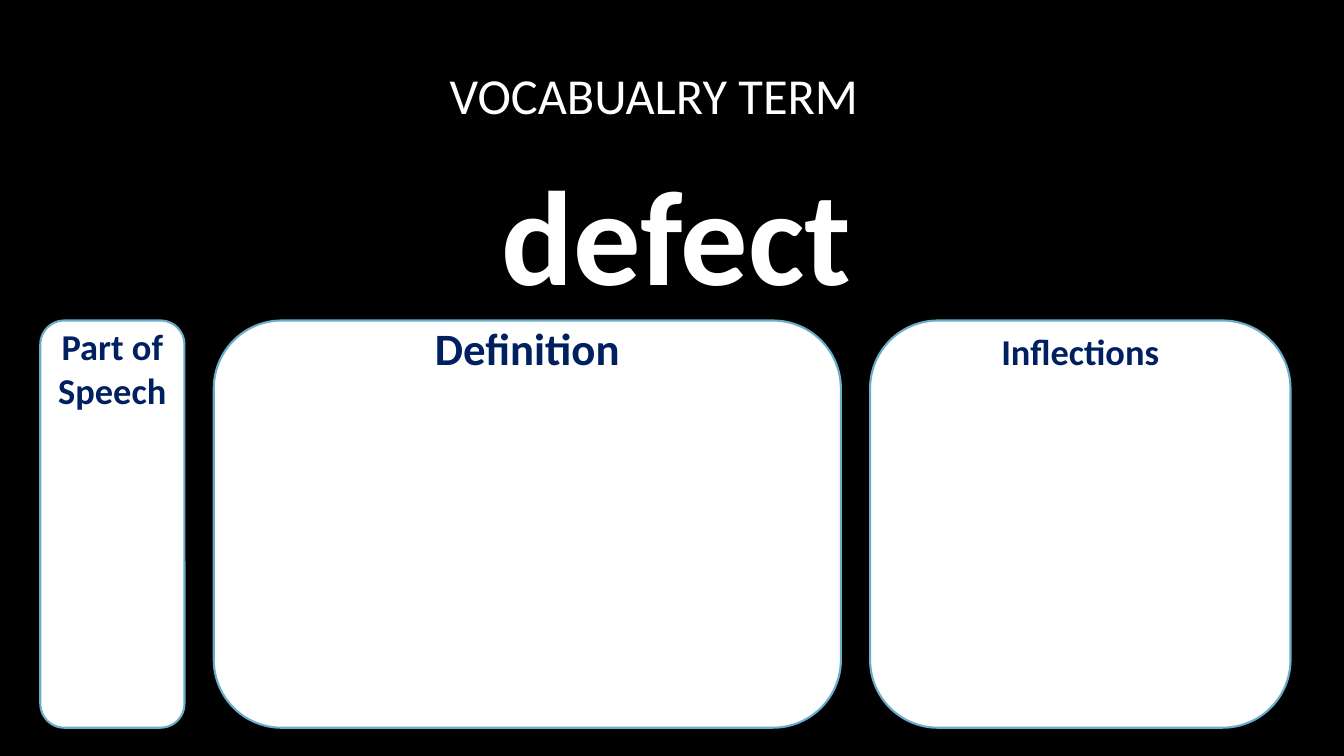
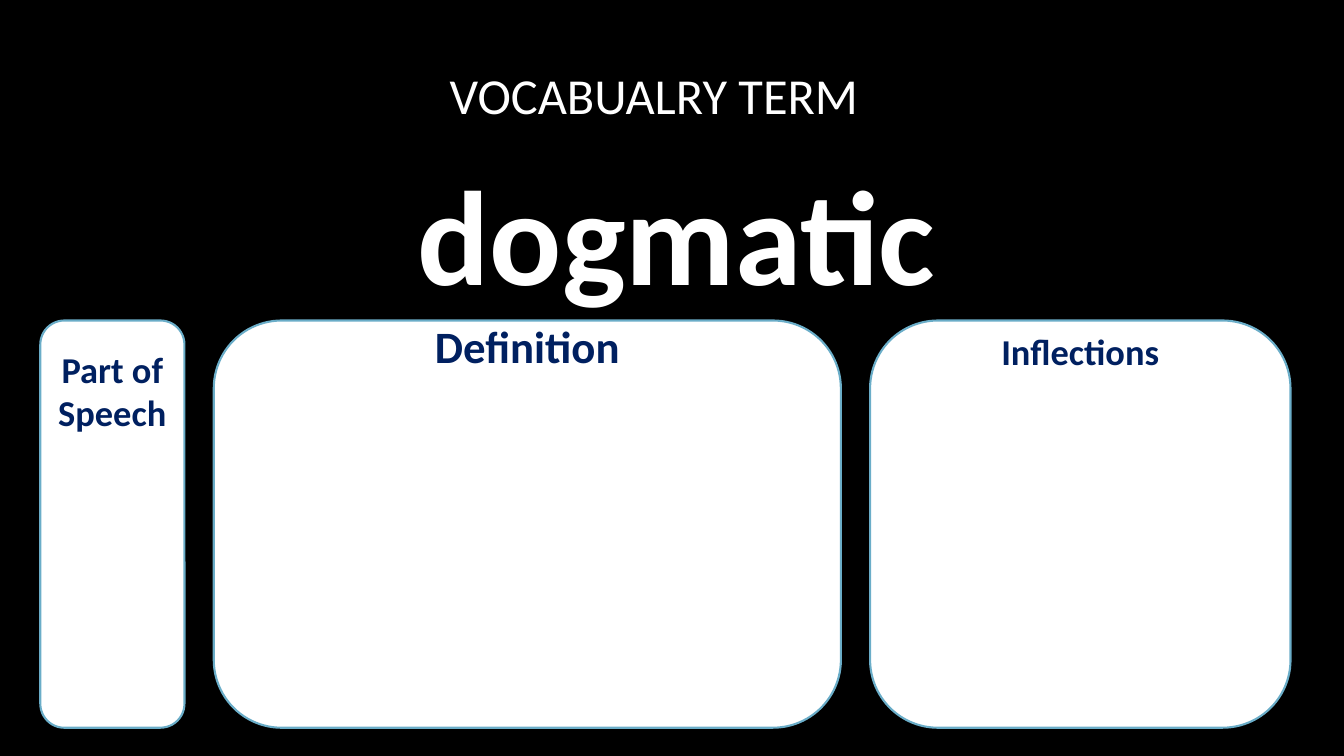
from dataclasses import dataclass

from pptx import Presentation
from pptx.dml.color import RGBColor
from pptx.enum import shapes, text
from pptx.util import Inches, Pt

FONT = "Calibri"
BLACK, WHITE, NAVY, SKY = "000000", "FFFFFF", "002060", "6AADC8"
CARD_TOP, CARD_HEIGHT = 3.18, 4.04
CARD_LEFT, CARD_GAP = 0.4, 0.29


@dataclass(frozen=True)
class Card:
    heading: str
    width: float
    size: int


@dataclass(frozen=True)
class Term:
    word: str
    heading_insets: tuple[float, float, float]


CARDS = (
    Card("Part of Speech", 1.43, 26),
    Card("Definition", 6.22, 32),
    Card("Inflections", 4.17, 26),
)
TERMS = (
    Term("defect", (-0.03, -0.19, -0.11)),
    Term("dogmatic", (0.19, -0.21, -0.11)),
)


def rgb(value: str) -> RGBColor:
    return RGBColor.from_string(value)


def write(shape, wording: str, size: int, color: str, bold: bool,
          anchor=text.MSO_ANCHOR.MIDDLE, inset_top: float = 0.05) -> None:
    """Fill the shape with one centred paragraph."""
    frame = shape.text_frame
    frame_format = {
        "word_wrap": True,
        "auto_size": text.MSO_AUTO_SIZE.NONE,
        "vertical_anchor": anchor,
        "margin_top": Inches(inset_top),
    }
    for name, value in frame_format.items():
        setattr(frame, name, value)
    paragraph = frame.paragraphs[0]
    paragraph.alignment = text.PP_ALIGN.CENTER
    run = paragraph.add_run()
    run.text = wording
    for name, value in {"name": FONT, "size": Pt(size), "bold": bold}.items():
        setattr(run.font, name, value)
    run.font.color.rgb = rgb(color)


def add_title(slide) -> None:
    title = slide.shapes.title
    place = {"left": 1.17, "top": 0.46, "width": 11.08, "height": 0.96}
    for name, value in place.items():
        setattr(title, name, Inches(value))
    write(title, "VOCABUALRY TERM\t", 36, WHITE, False)


def add_word(slide, word: str) -> None:
    box = slide.shapes.add_textbox(
        Inches(1.17), Inches(1.42), Inches(11.08), Inches(1.76))
    write(box, word, 96, WHITE, True)


def add_card(slide, card: Card, left: float, inset_top: float) -> None:
    panel = slide.shapes.add_shape(
        shapes.MSO_SHAPE.ROUNDED_RECTANGLE,
        Inches(left), Inches(CARD_TOP), Inches(card.width), Inches(CARD_HEIGHT))
    panel.shadow.inherit = False
    panel.fill.solid()
    panel.fill.fore_color.rgb = rgb(WHITE)
    panel.line.color.rgb = rgb(SKY)
    panel.line.width = Pt(1.5)
    write(panel, card.heading, card.size, NAVY, True,
          text.MSO_ANCHOR.TOP, inset_top)


def add_term_slide(deck, term: Term) -> None:
    slide = deck.slides.add_slide(deck.slide_layouts.get_by_name("Title Only"))
    slide.background.fill.solid()
    slide.background.fill.fore_color.rgb = rgb(BLACK)
    add_title(slide)
    add_word(slide, term.word)
    left = CARD_LEFT
    for card, inset_top in zip(CARDS, term.heading_insets):
        add_card(slide, card, left, inset_top)
        left += card.width + CARD_GAP


def main() -> None:
    deck = Presentation()
    deck.slide_width, deck.slide_height = Inches(13.33), Inches(7.5)
    for term in TERMS:
        add_term_slide(deck, term)
    deck.save("out.pptx")


if __name__ == "__main__":
    main()
